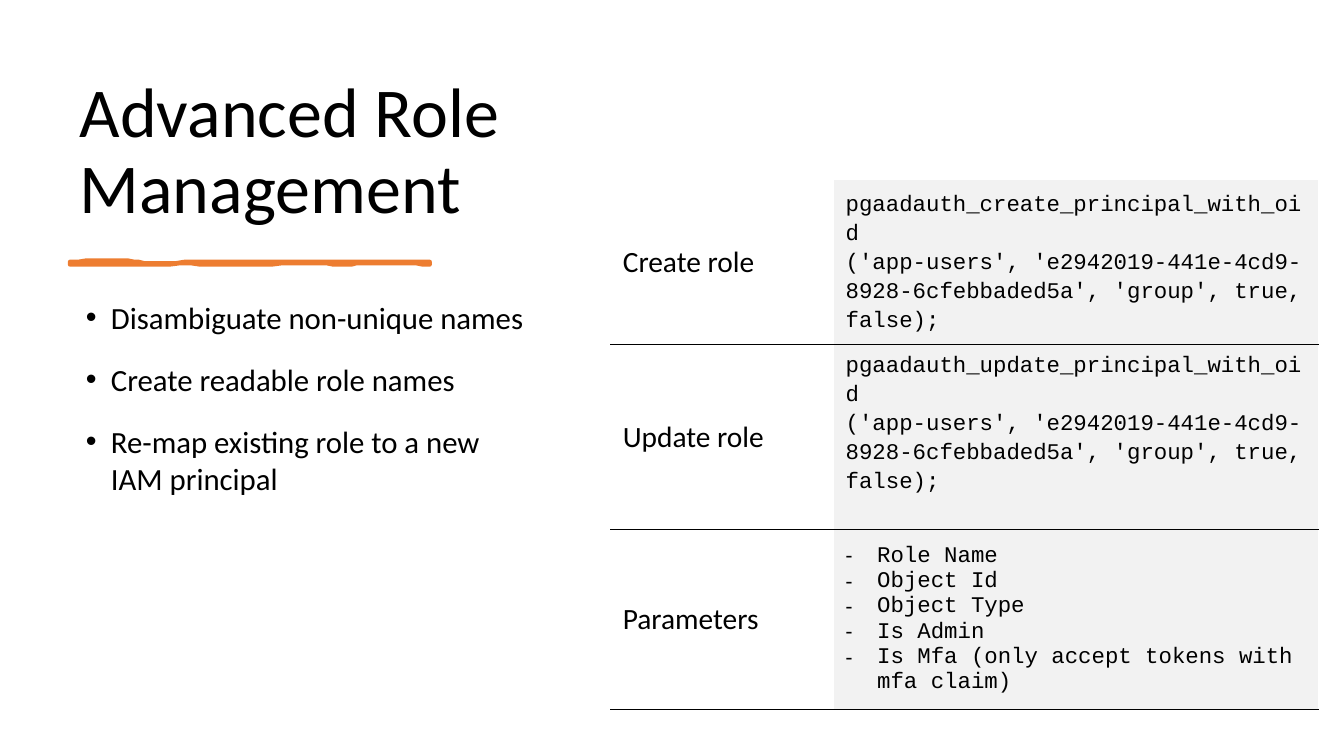
from lxml.etree import SubElement
from pptx import Presentation
from pptx.dml.color import RGBColor
from pptx.enum.text import MSO_ANCHOR, MSO_AUTO_SIZE, PP_ALIGN
from pptx.oxml import parse_xml
from pptx.oxml.ns import nsdecls, qn
from pptx.util import Pt

BLACK = RGBColor(0x00, 0x00, 0x00)
ORANGE = RGBColor(0xED, 0x7D, 0x31)
GREY = RGBColor(0xF2, 0xF2, 0xF2)
SANS, MONO = "Calibri", "Courier New"

TITLE = "Advanced Role Management"
POINTS = [
    "Disambiguate non-unique names",
    "Create readable role names",
    "Re-map existing role to a new \nIAM principal",
]
ARGS = "\n('app-users', 'e2942019-441e-4cd9-8928-6cfebbaded5a', 'group', true, false);"
PARAMS = [
    "Role Name",
    "Object Id",
    "Object Type",
    "Is Admin",
    "Is Mfa (only accept tokens with mfa claim)",
]
# label, row height, lines, bullet, line spacing, anchor
ROWS = [
    ("Create role", 111.6, ["pgaadauth_create_principal_with_oid" + ARGS],
     None, 1.14, MSO_ANCHOR.MIDDLE),
    ("Update role", 132.2, ["pgaadauth_update_principal_with_oid" + ARGS],
     None, 1.14, MSO_ANCHOR.TOP),
    ("Parameters", 128.6, PARAMS, "-", None, MSO_ANCHOR.MIDDLE),
]
COLS = [159.2, 346.2]
LEFT, WIDTH = 49.7, 379.4

# Brush stroke: start point, then cubic curves (two controls and an end)
START = (50.4, 187.2)
CURVES = [
    [(69.8, 185), (87.1, 185), (99.4, 187.2)],
    [(111.6, 188.6), (127.4, 187.2), (150.5, 187.2)],
    [(173.5, 186.5), (187.2, 187.9), (204.5, 187.2)],
    [(221.8, 185.8), (244.1, 187.9), (258.5, 187.2)],
    [(272.9, 185.8), (296.6, 187.2), (306.7, 187.2)],
    [(306.7, 187.2), (306.7, 187.9), (306.7, 188.6)],
    [(293.8, 188.6), (262.1, 187.2), (250.6, 188.6)],
    [(239, 189.4), (218.9, 186.5), (194.4, 188.6)],
    [(169.2, 190.1), (166.3, 188.6), (143.3, 188.6)],
    [(119.5, 187.9), (95, 190.1), (50.4, 188.6)],
]
STEPS = 10


def style(par, font, size):
    for run in par.runs:
        run.font.name, run.font.size = font, Pt(size)
        run.font.color.rgb = BLACK


def bullet(par, mark, left, hang):
    props = par._p.get_or_add_pPr()
    props.set("marL", str(Pt(left)))
    props.set("indent", str(-Pt(hang)))
    SubElement(props, qn("a:buFont")).set("typeface", "Arial" if mark == "•" else SANS)
    SubElement(props, qn("a:buChar")).set("char", mark)


def fill_text(frame, lines, font, size):
    """Write one paragraph per line and return the paragraphs."""
    for num, line in enumerate(lines):
        par = frame.paragraphs[0] if num == 0 else frame.add_paragraph()
        par.text = line
        style(par, font, size)
    return frame.paragraphs


def border(cell, sides):
    for num, side in enumerate(sides):
        cell._tc.get_or_add_tcPr().insert(num, parse_xml(
            f'<a:{side} {nsdecls("a")} w="{Pt(1)}"><a:solidFill>'
            f'<a:srgbClr val="{BLACK}"/></a:solidFill></a:{side}>'))


def curve(pts, step):
    t = step / STEPS
    parts = ((1 - t) ** 3, 3 * t * (1 - t) ** 2, 3 * t * t * (1 - t), t ** 3)
    return tuple(sum(w * p[axis] for w, p in zip(parts, pts)) for axis in (0, 1))


def add_title(slide):
    title = slide.shapes.title
    title.left, title.top, title.width, title.height = map(Pt, (LEFT, 50.4, WIDTH, 116.6))
    frame = title.text_frame
    frame.text = TITLE
    frame.word_wrap, frame.auto_size = True, MSO_AUTO_SIZE.NONE
    frame.vertical_anchor = MSO_ANCHOR.BOTTOM
    par = frame.paragraphs[0]
    par.alignment, par.line_spacing = PP_ALIGN.LEFT, 0.9
    style(par, SANS, 50)


def add_stroke(slide):
    dots, last = [], START
    for pts in CURVES:
        dots += [curve([last, *pts], step) for step in range(1, STEPS + 1)]
        last = pts[-1]
    form = slide.shapes.build_freeform(*START, scale=float(Pt(1)))
    form.add_line_segments(dots, close=True)
    shape = form.convert_to_shape()
    shape.shadow.inherit = False
    shape.fill.solid()
    shape.fill.fore_color.rgb = shape.line.color.rgb = ORANGE
    shape.line.width = Pt(3)


def add_points(slide):
    frame = slide.shapes.add_textbox(*map(Pt, (LEFT, 209.5, WIDTH, 279.4))).text_frame
    frame.word_wrap = True
    for par in fill_text(frame, POINTS, SANS, 22):
        par.space_after = Pt(18)
        bullet(par, "•", 22.5, 18)


def add_roles(slide):
    high = sum(row[1] for row in ROWS)
    table = slide.shapes.add_table(
        len(ROWS), len(COLS), *map(Pt, (436.3, 128.2, sum(COLS), high))).table
    table.first_row = table.horz_banding = False
    for col, wide in zip(table.columns, COLS):
        col.width = Pt(wide)
    for num, (label, tall, lines, mark, space, anchor) in enumerate(ROWS):
        table.rows[num].height = Pt(tall)
        name, code = table.cell(num, 0), table.cell(num, 1)
        for cell in (name, code):
            cell.margin_left = cell.margin_right = Pt(8.6)
            cell.margin_top = cell.margin_bottom = Pt(4.3)
        name.fill.background()
        code.fill.solid()
        code.fill.fore_color.rgb = GREY
        name.vertical_anchor, code.vertical_anchor = MSO_ANCHOR.MIDDLE, anchor
        fill_text(name.text_frame, [label], SANS, 21)
        for par in fill_text(code.text_frame, lines, MONO, 16):
            if space:
                par.line_spacing = space
            if mark:
                bullet(par, mark, 22.5, 22.5)
        for cell in (name, code):
            border(cell, ["lnT", "lnB"] if num else ["lnB"])


def main():
    deck = Presentation()
    deck.slide_width, deck.slide_height = Pt(960), Pt(540)
    slide = deck.slides.add_slide(deck.slide_layouts[5])
    add_title(slide)
    add_stroke(slide)
    add_points(slide)
    add_roles(slide)
    deck.save("out.pptx")


if __name__ == "__main__":
    main()
